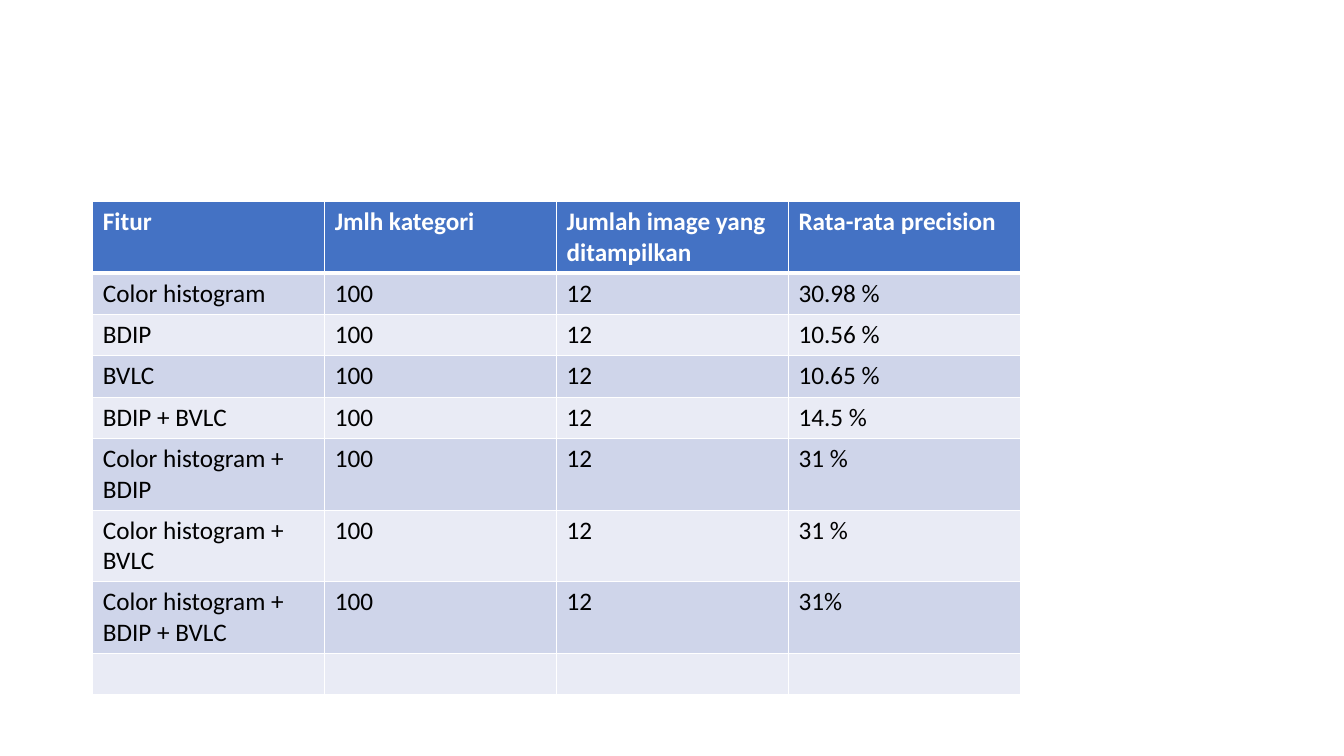
from lxml.etree import SubElement
from pptx import Presentation
from pptx.dml.color import RGBColor
from pptx.oxml.ns import qn
from pptx.util import Inches, Pt

HEADER = ("Fitur", "Jmlh kategori", "Jumlah image yang ditampilkan", "Rata-rata precision")
PRECISION = [
    ("Color histogram", "30.98 %"),
    ("BDIP", "10.56 %"),
    ("BVLC", "10.65 %"),
    ("BDIP + BVLC", "14.5 %"),
    ("Color histogram + BDIP", "31 %"),
    ("Color histogram + BVLC", "31 %"),
    ("Color histogram + BDIP + BVLC", "31%"),
]
CATEGORIES, SHOWN = "100", "12"
ROWS = [HEADER]
ROWS += [(feature, CATEGORIES, SHOWN, value) for feature, value in PRECISION]
ROWS += [("",) * len(HEADER)]

LEFT, TOP = 0.92, 2
COL_W, ROW_H = 2.3, 0.41
FONT, SIZE = "Calibri", 18
WHITE = RGBColor(0xFF, 0xFF, 0xFF)
BLACK = RGBColor(0x00, 0x00, 0x00)
BLUE = RGBColor(0x44, 0x72, 0xC4)
BANDS = (RGBColor(0xE9, 0xEB, 0xF5), RGBColor(0xCF, 0xD5, 0xEA))


def set_borders(cell, top, bottom):
    tc_pr = cell._tc.get_or_add_tcPr()
    for side, width in (("L", 1), ("R", 1), ("T", top), ("B", bottom)):
        ln = SubElement(tc_pr, qn(f"a:ln{side}"), w=str(Pt(width)))
        SubElement(SubElement(ln, qn("a:solidFill")), qn("a:srgbClr"), val=str(WHITE))


def fill_cell(cell, row, text):
    is_header = row == 0
    set_borders(cell, 3 if row == 1 else 1, 3 if is_header else 1)
    cell.fill.solid()
    cell.fill.fore_color.rgb = BLUE if is_header else BANDS[row % 2]
    cell.text_frame.text = text
    font = cell.text_frame.paragraphs[0].font
    for r in cell.text_frame.paragraphs[0].runs:
        font = r.font
    font.name, font.size, font.bold = FONT, Pt(SIZE), is_header
    font.color.rgb = WHITE if is_header else BLACK


def main():
    prs = Presentation()
    prs.slide_width, prs.slide_height = Inches(13.33), Inches(7.5)
    s = prs.slides.add_slide(prs.slide_layouts[6])
    n_rows, n_cols = len(ROWS), len(HEADER)
    table = s.shapes.add_table(
        n_rows, n_cols, Inches(LEFT), Inches(TOP),
        Inches(COL_W * n_cols), Inches(ROW_H * n_rows),
    ).table
    for i, values in enumerate(ROWS):
        for j, text in enumerate(values):
            fill_cell(table.cell(i, j), i, text)
    prs.save("out.pptx")


if __name__ == "__main__":
    main()
